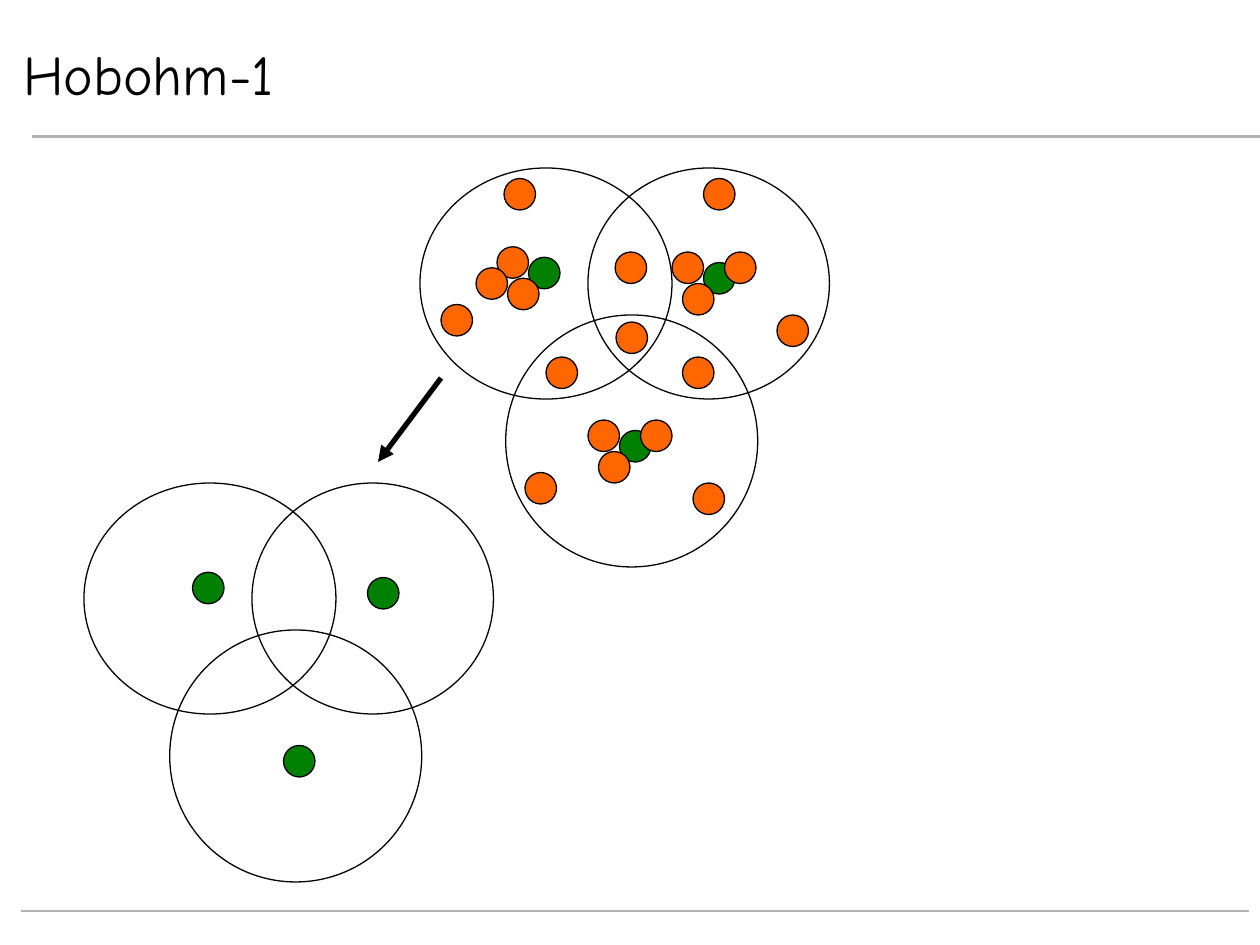
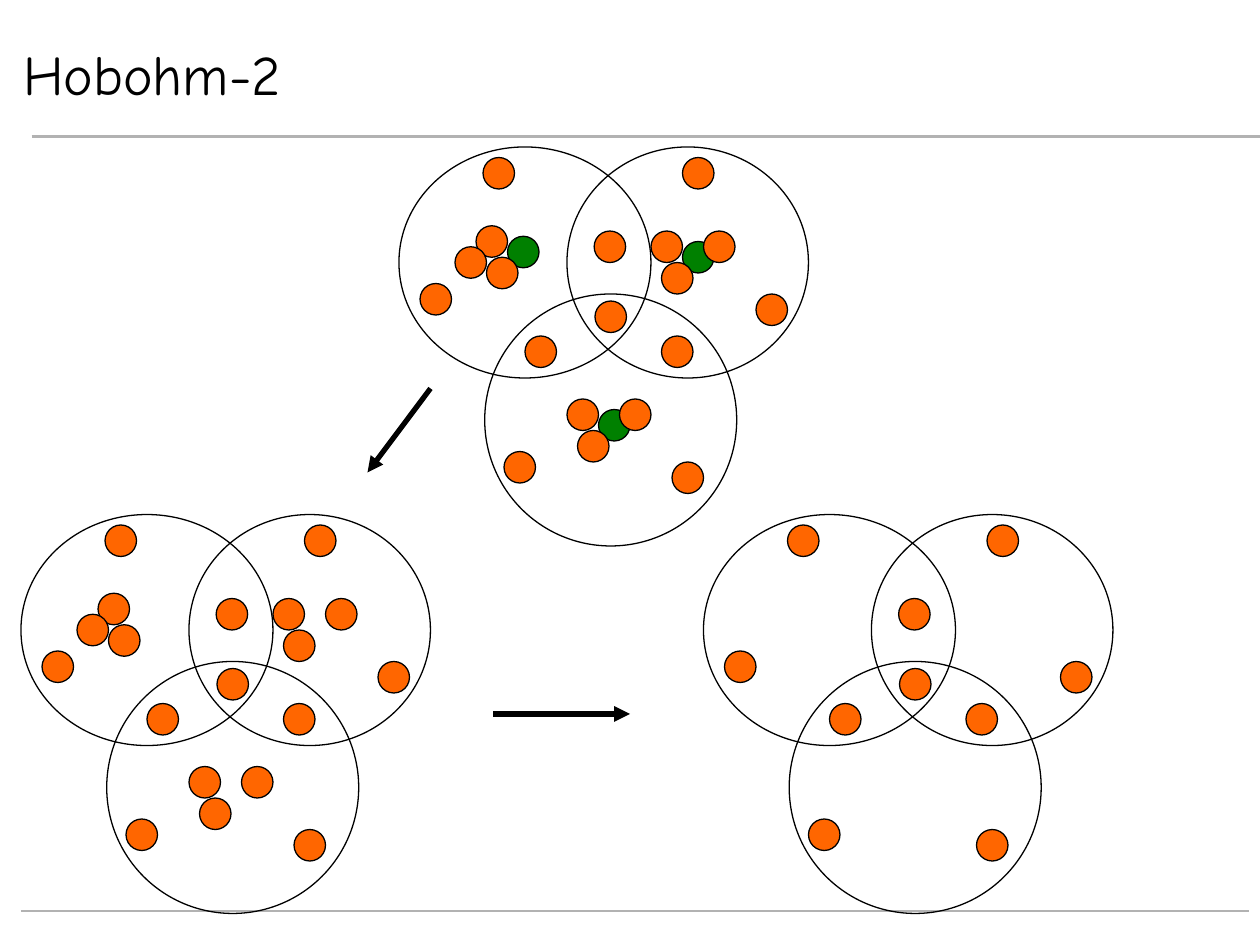
from lxml import etree
from pptx import Presentation
from pptx.dml.color import RGBColor
from pptx.enum.shapes import MSO_CONNECTOR as Connector, MSO_SHAPE as Shape
from pptx.enum.text import MSO_ANCHOR as Anchor, MSO_AUTO_SIZE as AutoSize, PP_ALIGN as Align
from pptx.oxml.ns import qn
from pptx.util import Pt

COLOURS = {"ink": "000000", "paper": "FFFFFF", "rule": "B2B2B2",
           "chosen": "008000", "member": "FF6600"}
FONT = "Comic Neue"
DOT = 18
CIRCLES = [(0, 0, 144, 132), (49, 84, 144, 144), (96, 0, 138, 132)]
CHOSEN = [(162, 54), (62, 51), (114, 150)]
NEIGHBOURS = [(150, 66), (144, 48), (174, 48),
              (50, 63), (44, 45), (32, 57),
              (102, 162), (96, 144), (126, 144)]
OUTLYING = [(162, 6), (111.5, 48), (112, 88), (204, 84), (150, 108), (60, 174),
            (156, 180), (72, 108), (12, 78), (48, 6)]


def colour(name):
    """Return the named colour of the deck."""
    return RGBColor.from_string(COLOURS[name])


def add_line(page, start, end, name, width):
    """Draw a straight line without shadow and return it."""
    line = page.shapes.add_connector(
        Connector.STRAIGHT, *(Pt(value) for value in (*start, *end)))
    line.line.color.rgb = colour(name)
    line.line.width = Pt(width)
    etree.SubElement(line._element.spPr, qn("a:effectLst"))
    return line


def add_arrow(page, start, end):
    """Draw a thick arrow from start to end."""
    arrow = add_line(page, start, end, "ink", 3)
    etree.SubElement(arrow.line._get_or_add_ln(), qn("a:tailEnd"), type="triangle")


def add_ellipse(group, left, top, width, height, fill=None):
    """Draw one outlined ellipse, hollow unless a fill is named."""
    ellipse = group.shapes.add_shape(
        Shape.OVAL, *(Pt(value) for value in (left, top, width, height)))
    ellipse.shadow.inherit = False
    ellipse.line.color.rgb = colour("ink")
    ellipse.line.width = Pt(0.75)
    if fill:
        ellipse.fill.solid()
        ellipse.fill.fore_color.rgb = colour(fill)
    else:
        ellipse.fill.background()


def add_clusters(page, left, top, chosen=(), members=()):
    """Draw three overlapping circles and their dots from the given corner."""
    group = page.shapes.add_group_shape()
    for name, dots in (("chosen", chosen), ("member", members)):
        for x, y in dots:
            add_ellipse(group, left + x, top + y, DOT, DOT, name)
    for x, y, width, height in CIRCLES:
        add_ellipse(group, left + x, top + y, width, height)


def add_page(deck, heading):
    """Add a page with the shared rules and title style."""
    page = deck.slides.add_slide(deck.slide_layouts[5])
    add_line(page, (18, 78), (720, 78), "rule", 1.5)
    add_line(page, (12, 520.5), (714, 520.5), "rule", 1.5)
    title = page.shapes.title
    title.left, title.top, title.width, title.height = Pt(6), Pt(24), Pt(564), Pt(36)
    title.fill.solid()
    title.fill.fore_color.rgb = colour("paper")
    title.line.color.rgb = colour("paper")
    title.line.width = Pt(0.75)
    frame = title.text_frame
    frame.text = heading
    frame.auto_size = AutoSize.NONE
    frame.vertical_anchor = Anchor.MIDDLE
    para = frame.paragraphs[0]
    para.alignment = Align.LEFT
    para.font.name = FONT
    para.font.size = Pt(32)
    para.font.color.rgb = colour("ink")
    return page


def add_first_method(deck):
    """Show the clusters reduced to their chosen dots."""
    page = add_page(deck, "Hobohm-1")
    add_clusters(page, 48, 276, chosen=CHOSEN)
    add_clusters(page, 240, 96, CHOSEN, NEIGHBOURS + OUTLYING)
    add_arrow(page, (252, 216), (216, 264))


def add_second_method(deck):
    """Show the chosen dots and then their neighbours removed."""
    page = add_page(deck, "Hobohm-2")
    add_clusters(page, 228, 84, CHOSEN, NEIGHBOURS + OUTLYING)
    add_clusters(page, 12, 294, members=NEIGHBOURS + OUTLYING)
    add_arrow(page, (246, 222), (210, 270))
    add_clusters(page, 402, 294, members=OUTLYING)
    add_arrow(page, (282, 408), (360, 408))


def main():
    """Build and save the deck."""
    deck = Presentation()
    deck.slide_width, deck.slide_height = Pt(720), Pt(540)
    add_first_method(deck)
    add_second_method(deck)
    deck.save("out.pptx")


if __name__ == "__main__":
    main()
